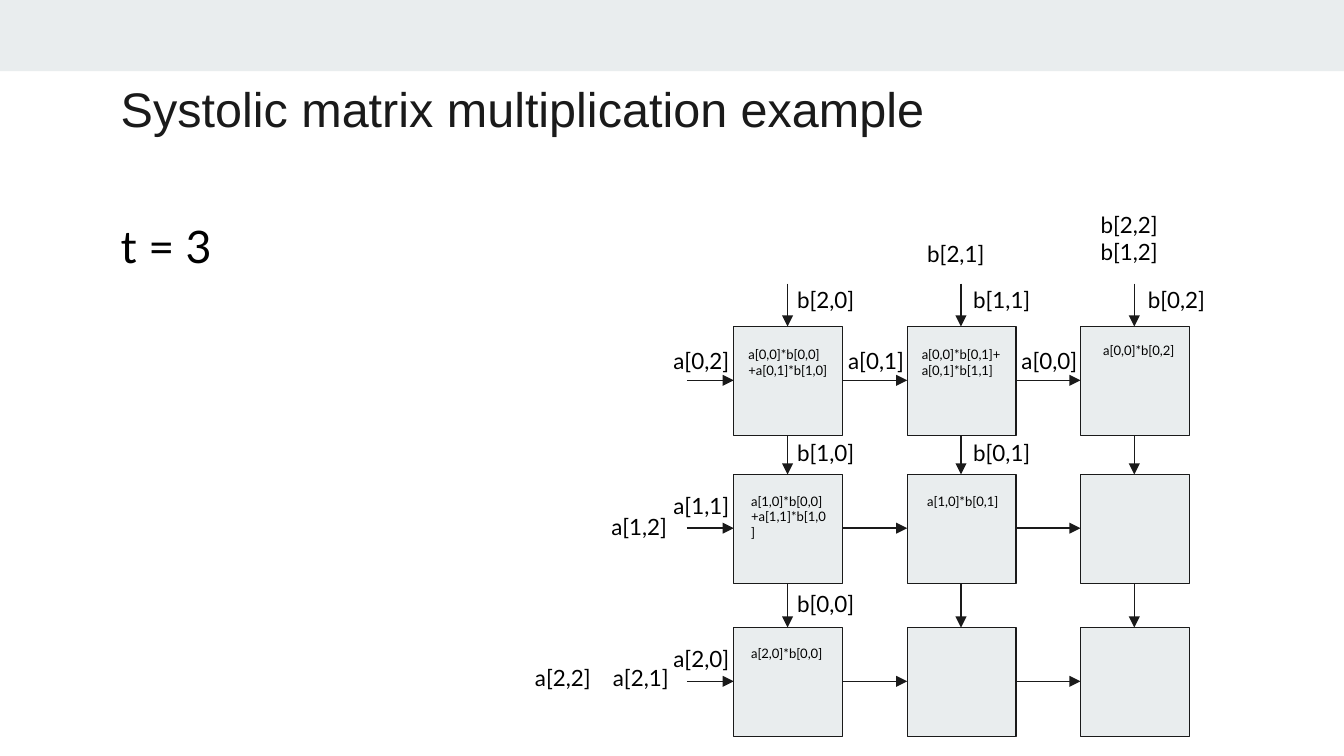
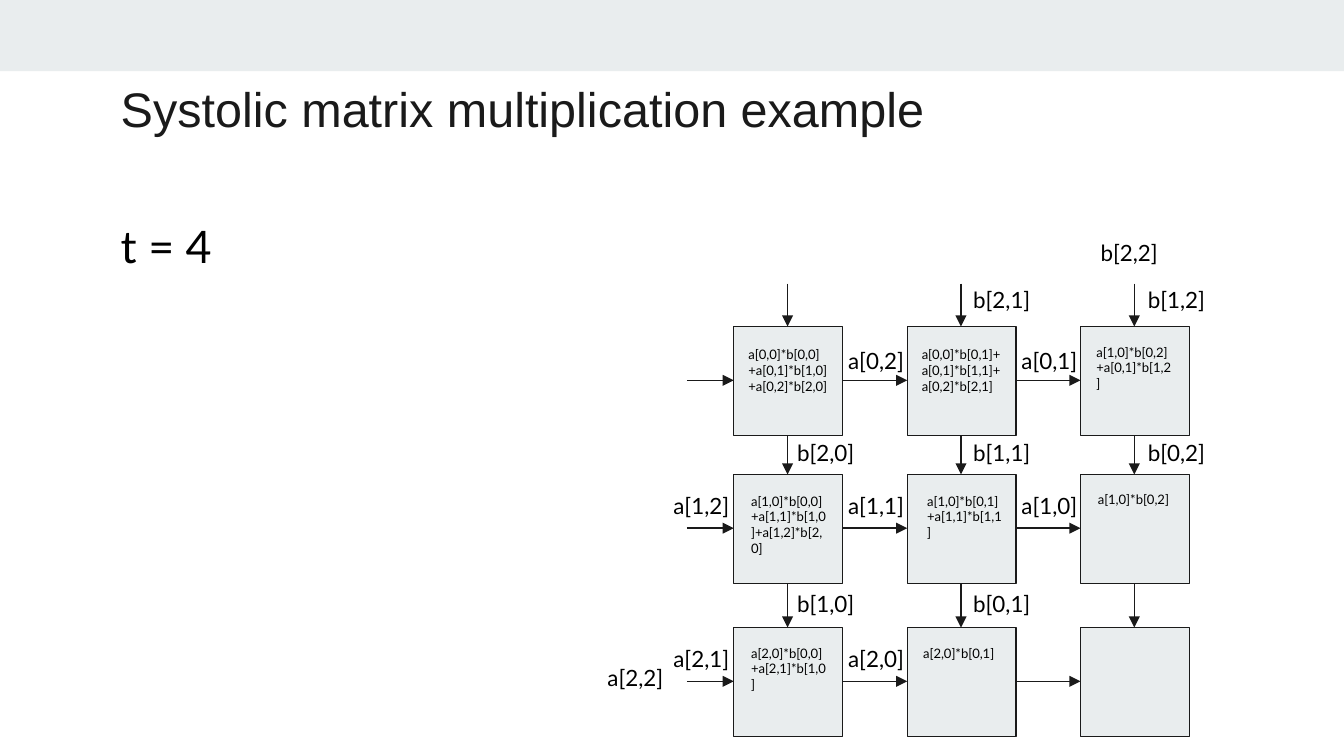
from dataclasses import dataclass
from itertools import product

from lxml import etree
from pptx import Presentation
from pptx import util as u
from pptx.dml import color
from pptx.enum import shapes, text
from pptx.oxml import ns


@dataclass(frozen=True)
class Theme:
    band: str = "E9EDEE"
    ink: str = "1A1A1A"
    black: str = "000000"
    head: str = "Arial"
    body: str = "Lato"
    title: float = 26
    step: float = 24
    label: float = 12
    sum: float = 7
    rule: float = 0.75


COLS = (5.46, 6.75, 8.04)
ROWS = (2.43, 3.53, 4.67)
SIDE = 0.81
MID = 0.4
TOP = 2.11
LEFT = 5.11
FLOW_X = (4.87, 6.17, 7.46)
FLOW_Y = (2.48, 3.56, 4.7)
DROP_X = (5.79, 7.1, 8.4)
DROP_Y = (2.03, 3.17, 4.29)


class Deck:
    def __init__(self, theme):
        self.theme = theme
        self.prs = Presentation()
        self.prs.slide_width = u.Inches(10)
        self.prs.slide_height = u.Inches(10) * 9 // 16
        self.slide = None

    def start(self, title, step):
        t = self.theme
        self.slide = self.prs.slides.add_slide(self.prs.slide_layouts[6])
        self.box(0, 0, 10, 0.53)
        self.text(0.8, 0.49, 8.41, 0.59, [title], t.title, t.head, t.ink)
        self.text(0.8, 1.53, 1.48, 0.72, [step], t.step)

    def box(self, x, y, w, h, edge=False):
        shape = self.slide.shapes.add_shape(
            shapes.MSO_SHAPE.RECTANGLE, *map(u.Inches, (x, y, w, h)))
        shape.shadow.inherit = False
        shape.fill.solid()
        shape.fill.fore_color.rgb = color.RGBColor.from_string(self.theme.band)
        if edge:
            self.stroke(shape.line)
        else:
            shape.line.fill.background()

    def stroke(self, line):
        line.color.rgb = color.RGBColor.from_string(self.theme.ink)
        line.width = u.Pt(self.theme.rule)

    def arrow(self, x1, y1, x2, y2):
        link = self.slide.shapes.add_connector(
            shapes.MSO_CONNECTOR.STRAIGHT, *map(u.Inches, (x1, y1, x2, y2)))
        self.stroke(link.line)
        tail = etree.SubElement(link.line._get_or_add_ln(), ns.qn("a:tailEnd"))
        tail.set("type", "triangle")
        etree.SubElement(link._element.spPr, ns.qn("a:effectLst"))

    def text(self, x, y, w, h, lines, size, font=None, ink=None,
             left=0.1, tab=None):
        frame = self.slide.shapes.add_textbox(
            *map(u.Inches, (x, y, w, h))).text_frame
        frame.word_wrap = True
        frame.auto_size = text.MSO_AUTO_SIZE.NONE
        frame.vertical_anchor = text.MSO_ANCHOR.TOP
        frame.margin_left = u.Inches(left)
        frame.margin_top = frame.margin_right = frame.margin_bottom = u.Inches(0.1)
        for n, line in enumerate(lines):
            para = frame.add_paragraph() if n else frame.paragraphs[0]
            para.line_spacing = 1.0
            if tab:
                stops = etree.SubElement(
                    para._p.get_or_add_pPr(), ns.qn("a:tabLst"))
                etree.SubElement(stops, ns.qn("a:tab"),
                                 pos=str(u.Inches(tab)), algn="l")
            for k, part in enumerate(line.split("\n")):
                if k:
                    para.add_line_break()
                run = para.add_run()
                run.text = part
                run.font.size = u.Pt(size)
                run.font.name = font or self.theme.body
                run.font.color.rgb = color.RGBColor.from_string(
                    ink or self.theme.black)

    def grid(self):
        for y, x in product(ROWS, COLS):
            self.box(x, y, SIDE, SIDE, edge=True)
        for y in ROWS:
            starts = (LEFT, *(x + SIDE for x in COLS))
            for start, end in zip(starts, COLS):
                self.arrow(start, y + MID, end, y + MID)
        for x in COLS:
            starts = (TOP, *(y + SIDE for y in ROWS))
            for start, end in zip(starts, ROWS):
                self.arrow(x + MID, start, x + MID, end)

    def labels(self, names, xs, ys):
        for (y, x), name in zip(product(ys, xs), sum(names, [])):
            if name:
                self.text(x, y, 0.71, 0.42, [name], self.theme.label, left=0.14)

    def sums(self, cells):
        for x, y, w, h, total in cells:
            self.text(x, y, w, h, [total], self.theme.sum)

    def queue(self, items):
        for x, y, w, h, lines, left, tab in items:
            self.text(x, y, w, h, lines, self.theme.label, left=left, tab=tab)


STEPS = [
    dict(
        name="t = 3",
        queue=[
            (6.8, 1.69, 0.71, 0.45, ["b[2,1]"], 0.1, None),
            (8.09, 1.47, 0.71, 0.59, ["b[2,2]", "b[1,2]"], 0.1, None),
            (4.45, 3.72, 0.63, 0.42, ["a[1,2]"], 0.1, None),
            (3.3, 4.84, 1.78, 0.42, ["a[2,2]\ta[2,1]"], 0.68, 0.58),
        ],
        flow=[["a[0,2]", "a[0,1]", "a[0,0]"],
              ["a[1,1]", "", ""],
              ["a[2,0]", "", ""]],
        drop=[["b[2,0]", "b[1,1]", "b[0,2]"],
              ["b[1,0]", "b[0,1]", ""],
              ["b[0,0]", "", ""]],
        sums=[
            (5.47, 2.48, 0.81, 0.33, "a[0,0]*b[0,0]\n+a[0,1]*b[1,0]"),
            (6.76, 2.48, 0.81, 0.33, "a[0,0]*b[0,1]+a[0,1]*b[1,1]"),
            (8.11, 2.45, 0.77, 0.33, "a[0,0]*b[0,2]"),
            (5.49, 3.57, 0.77, 0.33, "a[1,0]*b[0,0]+a[1,1]*b[1,0]"),
            (6.8, 3.57, 0.77, 0.33, "a[1,0]*b[0,1]"),
            (5.49, 4.7, 0.77, 0.33, "a[2,0]*b[0,0]"),
        ],
    ),
    dict(
        name="t = 4",
        queue=[
            (8.09, 1.68, 0.71, 0.42, ["b[2,2]"], 0.1, None),
            (3.3, 4.84, 1.78, 0.42, ["a[2,2]"], 1.22, None),
        ],
        flow=[["", "a[0,2]", "a[0,1]"],
              ["a[1,2]", "a[1,1]", "a[1,0]"],
              ["a[2,1]", "a[2,0]", ""]],
        drop=[["", "b[2,1]", "b[1,2]"],
              ["b[2,0]", "b[1,1]", "b[0,2]"],
              ["b[1,0]", "b[0,1]", ""]],
        sums=[
            (5.47, 2.48, 0.81, 0.48,
             "a[0,0]*b[0,0]\n+a[0,1]*b[1,0]+a[0,2]*b[2,0]"),
            (6.76, 2.48, 0.81, 0.48,
             "a[0,0]*b[0,1]+a[0,1]*b[1,1]+a[0,2]*b[2,1]"),
            (8.06, 2.46, 0.77, 0.33, "a[1,0]*b[0,2]+a[0,1]*b[1,2]"),
            (5.49, 3.57, 0.77, 0.33,
             "a[1,0]*b[0,0]+a[1,1]*b[1,0]+a[1,2]*b[2,0]"),
            (6.8, 3.57, 0.77, 0.33, "a[1,0]*b[0,1]+a[1,1]*b[1,1]"),
            (8.07, 3.56, 0.77, 0.33, "a[1,0]*b[0,2]"),
            (5.49, 4.7, 0.77, 0.33, "a[2,0]*b[0,0]+a[2,1]*b[1,0]"),
            (6.77, 4.7, 0.77, 0.33, "a[2,0]*b[0,1]"),
        ],
    ),
]


def main():
    deck = Deck(Theme())
    for step in STEPS:
        deck.start("Systolic matrix multiplication example", step["name"])
        deck.grid()
        deck.queue(step["queue"])
        deck.labels(step["flow"], FLOW_X, FLOW_Y)
        deck.labels(step["drop"], DROP_X, DROP_Y)
        deck.sums(step["sums"])
    deck.prs.save("out.pptx")


if __name__ == "__main__":
    main()
